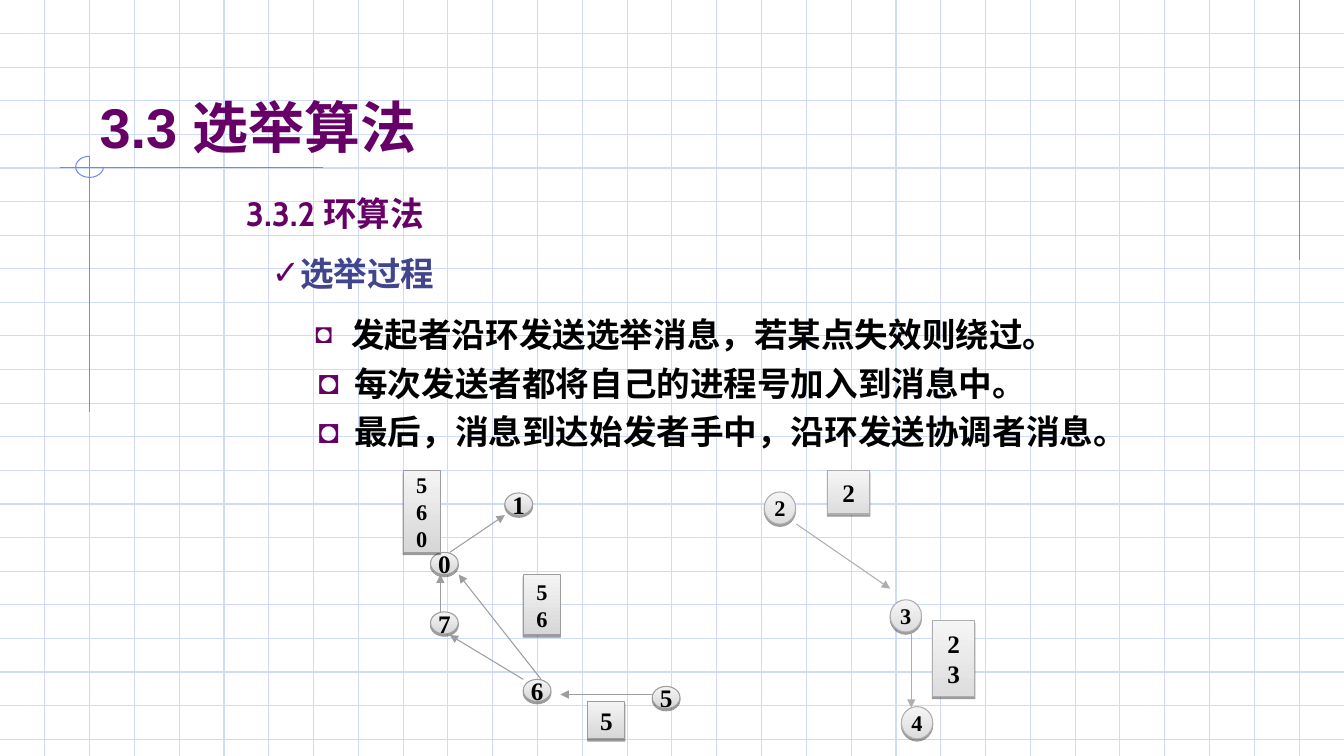
from dataclasses import dataclass
from lxml.etree import SubElement
from pptx import Presentation
from pptx.dml.color import RGBColor
from pptx.enum.shapes import MSO_CONNECTOR, MSO_SHAPE
from pptx.enum.text import MSO_ANCHOR, PP_ALIGN
from pptx.oxml.ns import qn
from pptx.util import Inches, Pt


@dataclass(frozen=True)
class Theme:
    grid: str = "CFDBFD"
    accent: str = "6F89F7"
    purple: str = "660066"
    indigo: str = "40458C"
    ink: str = "000000"
    title: int = 40
    body: int = 24
    large: int = 18
    small: int = 16
    leading: float = 1.2
    rule: float = 0.75
    sans: str = "Arial"
    heading: str = "Cabin"
    cjk: str = "Noto Sans CJK SC"
    serif: str = "Times New Roman"


@dataclass(frozen=True)
class Tone:
    dark: str
    light: str
    edge: str


COLS, ROWS = 30, 22.5


class Sheet:
    def __init__(self, prs, theme):
        self.theme = theme
        self.col = prs.slide_width / COLS
        self.row = prs.slide_height / ROWS
        self.slide = prs.slides.add_slide(prs.slide_layouts[6])

    def x(self, cols):
        return round(cols * self.col)

    def y(self, rows):
        return round(rows * self.row)

    def box(self, left, top, width, height):
        return self.x(left), self.y(top), self.x(width), self.y(height)

    def stroke(self, line, color):
        line.color.rgb = RGBColor.from_string(color)
        line.width = Pt(self.theme.rule)

    def line(self, x1, y1, x2, y2, color, arrow=False):
        c = self.slide.shapes.add_connector(
            MSO_CONNECTOR.STRAIGHT, self.x(x1), self.y(y1), self.x(x2), self.y(y2))
        self.stroke(c.line, color)
        spPr = c._element.spPr
        if arrow:
            SubElement(spPr.find(qn("a:ln")), qn("a:tailEnd"), type="triangle")
        SubElement(spPr, qn("a:effectLst"))

    def arc(self, left, top, width, height, color):
        sp = self.slide.shapes.add_shape(MSO_SHAPE.ARC, *self.box(left, top, width, height))
        sp.adjustments[0], sp.adjustments[1] = 0, 162
        sp.fill.background()
        self.stroke(sp.line, color)
        sp.shadow.inherit = False

    def add_runs(self, p, runs, size):
        p.line_spacing = Pt(size * self.theme.leading)
        for text, font, color in runs:
            r = p.add_run()
            r.text = text
            r.font.name, r.font.size, r.font.bold = font, Pt(size), True
            r.font.color.rgb = RGBColor.from_string(color)
            SubElement(r._r.get_or_add_rPr(), qn("a:ea"), typeface=self.theme.cjk)

    def text(self, left, top, width, height, anchor=MSO_ANCHOR.TOP):
        tf = self.slide.shapes.add_textbox(*self.box(left, top, width, height)).text_frame
        tf.word_wrap = True
        tf.vertical_anchor = anchor
        return tf

    def bullet(self, p, mark, margin, hang, percent):
        pPr = p._p.get_or_add_pPr()
        pPr.set("marL", str(self.x(margin)))
        pPr.set("indent", str(-self.x(hang)))
        SubElement(SubElement(pPr, qn("a:buClr")), qn("a:srgbClr"), val=self.theme.purple)
        SubElement(pPr, qn("a:buSzPct"), val=str(percent * 1000))
        SubElement(pPr, qn("a:buFont"), typeface=self.theme.sans)
        SubElement(pPr, qn("a:buChar"), char=mark)

    def label(self, kind, left, top, width, height, lines, size, tone):
        sp = self.slide.shapes.add_shape(kind, *self.box(left, top, width, height))
        sp.fill.gradient()
        sp.fill.gradient_angle = 90
        for stop, color in zip(sp.fill.gradient_stops, (tone.dark, tone.light)):
            stop.color.rgb = RGBColor.from_string(color)
        self.stroke(sp.line, tone.edge)
        self.drop_shadow(sp)
        tf = sp.text_frame
        tf.word_wrap = False
        tf.vertical_anchor = MSO_ANCHOR.MIDDLE
        for i, line in enumerate(lines):
            p = tf.add_paragraph() if i else tf.paragraphs[0]
            p.alignment = PP_ALIGN.CENTER
            self.add_runs(p, [(line, self.theme.serif, self.theme.ink)], size)

    def drop_shadow(self, sp):
        effects = SubElement(sp._element.spPr, qn("a:effectLst"))
        shadow = SubElement(effects, qn("a:outerShdw"), blurRad="0", dist=str(Pt(1.6)),
                            dir="5400000", rotWithShape="0")
        color = SubElement(shadow, qn("a:srgbClr"), val=self.theme.ink)
        SubElement(color, qn("a:alpha"), val="38000")

    def ring(self, tone, node_size, node_type, nodes, arrows, boxes):
        for name, left, top in nodes:
            self.label(MSO_SHAPE.OVAL, left, top, *node_size, name, node_type, tone)
        for ends in arrows:
            self.line(*ends, tone.edge, arrow=True)
        for message, size, *place in boxes:
            self.label(MSO_SHAPE.RECTANGLE, *place, message, size, tone)


def draw_background(s):
    t = s.theme
    for row in range(1, 23):
        s.line(0, row, COLS, row, t.grid)
    for col in range(1, COLS):
        s.line(col, 0, col, ROWS, t.grid)
    for ends in ((29, 0, 29, 7.74), (7.22, 4.98, 1.35, 4.98), (2, 4.65, 2, 12.27)):
        s.line(*ends, t.accent)
    s.arc(1.69, 4.65, 0.62, 0.63, t.accent)


def draw_text(s):
    t = s.theme
    tf = s.text(2, 1.16, 25.5, 3.75, MSO_ANCHOR.BOTTOM)
    s.add_runs(tf.paragraphs[0], [("3.3 ", t.sans, t.purple), ("选举算法", t.cjk, t.purple)], t.title)
    tf = s.text(5.27, 5.6, 23.42, 1.5)
    s.add_runs(tf.paragraphs[0], [("3.3.2 环算法", t.heading, t.purple)], t.body)
    tf = s.text(5.24, 7.37, 20.81, 6.2)
    steps = (
        ("✓", 1.21, 0.6, 100, 0, t.indigo, "选举过程"),
        ("◘", 2.38, 0.8, 83, 15, t.ink, "发起者沿环发送选举消息，若某点失效则绕过。"),
        ("◘", 2.45, 0.8, 100, 6, t.ink, "每次发送者都将自己的进程号加入到消息中。"),
        ("◘", 2.45, 0.8, 100, 6, t.ink, "最后，消息到达始发者手中，沿环发送协调者消息。"),
    )
    for i, (mark, margin, hang, percent, before, color, words) in enumerate(steps):
        p = tf.add_paragraph() if i else tf.paragraphs[0]
        s.bullet(p, mark, margin, hang, percent)
        p.space_before = Pt(before)
        s.add_runs(p, [(words, t.cjk, color)], t.body)


def draw_rings(s):
    t = s.theme
    s.ring(
        Tone("D7D7D7", "F4F4F4", "9D9D9D"), (0.62, 0.66), t.large,
        nodes=(("1", 11.27, 14.67), ("0", 9.61, 16.44), ("7", 9.61, 18.21),
               ("6", 11.68, 20.22), ("5", 14.56, 20.43)),
        arrows=((10.04, 16.44, 11.27, 15.33), (9.83, 18.24, 9.83, 17.1),
                (11.68, 20.22, 10.04, 18.9), (14.56, 20.67, 12.51, 20.67),
                (12.08, 20.22, 10.24, 17.1)),
        boxes=(("560", t.small, 9, 14.01, 0.83, 2.43), ("56", t.small, 11.68, 17.1, 0.83, 1.8),
               ("5", t.large, 13.12, 20.88, 0.83, 1.11)))
    s.ring(
        Tone("DDDDDD", "F5F5F5", "AEAEAE"), (0.7, 0.96), t.small,
        nodes=(("2", 17.06, 14.64), ("3", 19.87, 17.85), ("4", 20.12, 21.03)),
        arrows=((17.78, 15.6, 19.87, 17.52), (20.34, 18.81, 20.34, 21.06)),
        boxes=(("2", t.large, 18.47, 14.01, 0.95, 1.29), ("23", t.large, 20.81, 18.48, 0.95, 2.25)))


def main():
    prs = Presentation()
    prs.slide_width, prs.slide_height = Inches(13.34), Inches(7.5)
    sheet = Sheet(prs, Theme())
    draw_background(sheet)
    draw_text(sheet)
    draw_rings(sheet)
    prs.save("out.pptx")


if __name__ == "__main__":
    main()
